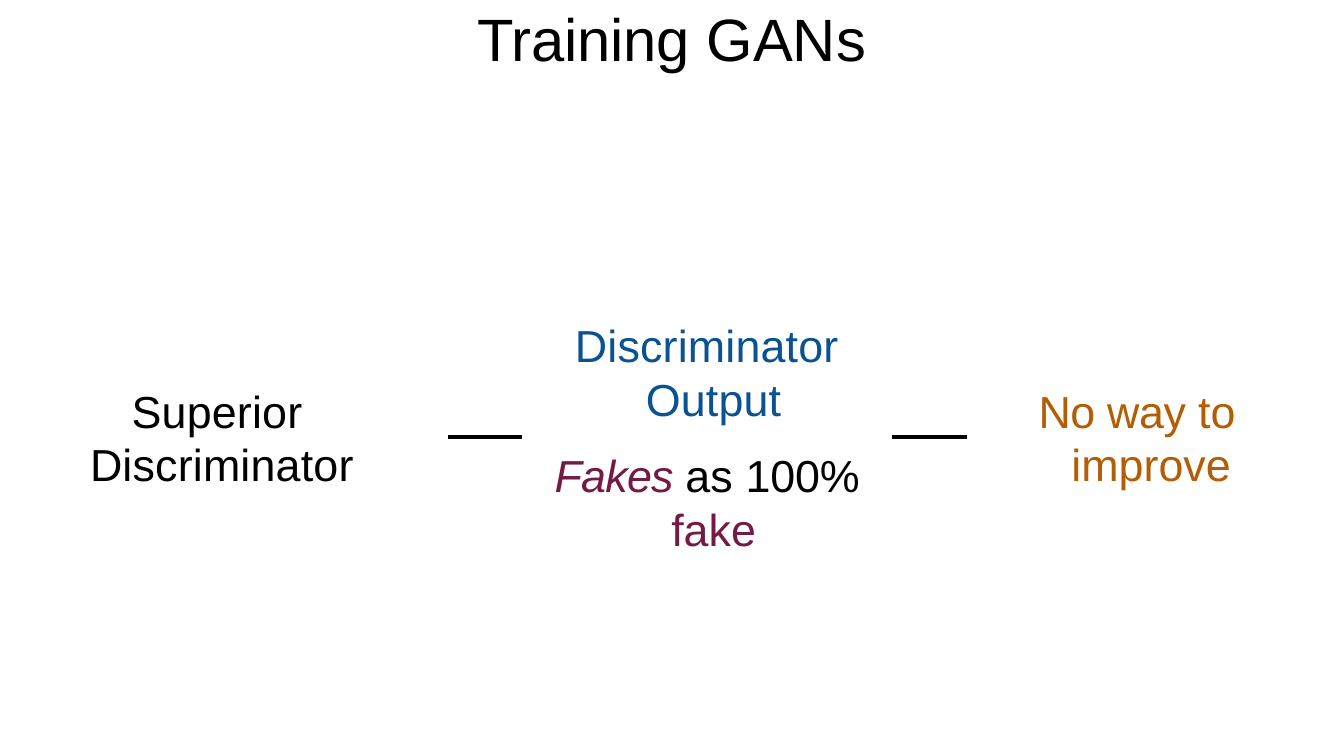
"""Build the slide on how a superior discriminator stalls the training of GANs."""
from dataclasses import dataclass

from lxml.etree import SubElement
from pptx import Presentation
from pptx.dml.color import RGBColor
from pptx.enum.shapes import MSO_CONNECTOR
from pptx.enum.text import MSO_ANCHOR, PP_ALIGN
from pptx.oxml.ns import qn
from pptx.util import Inches, Pt


@dataclass
class Theme:
    font: str = "Arial"
    black: str = "000000"
    blue: str = "0B5293"
    plum: str = "741A46"
    rust: str = "B35E05"
    head: int = 32
    body: int = 24
    line: float = 2.25


def write(para, text, color, size, space=0, italic=False):
    run = para.add_run()
    run.text = text
    font = run.font
    font.name, font.size, font.italic = theme.font, Pt(size), italic
    font.color.rgb = RGBColor.from_string(color)
    run._r.get_or_add_rPr().set("spc", str(space))


def place(left, mid, width, height):
    box = slide.shapes.add_textbox(
        int(left * col), int((mid - height / 2) * row), int(width * col), int(height * row))
    frame = box.text_frame
    frame.word_wrap = True
    frame.margin_left = frame.margin_right = frame.margin_bottom = 0
    frame.margin_top = Inches(0.01)
    return frame


theme = Theme()
deck = Presentation()
deck.slide_width, deck.slide_height = Inches(10), Inches(10) * 9 // 16
slide = deck.slides.add_slide(deck.slide_layouts[6])
col, row = deck.slide_width / 100, deck.slide_height / 100
mid = 57.85

title = place(0, 4.9, 100, 9.8)
title.vertical_anchor = MSO_ANCHOR.MIDDLE
para = title.paragraphs[0]
para.alignment, para.space_before = PP_ALIGN.CENTER, Pt(1)
write(para, "Training ", color=theme.black, size=theme.head, space=-10)
write(para, "GANs", color=theme.black, size=theme.head)

left, center = PP_ALIGN.LEFT, PP_ALIGN.CENTER
steps = [
    (6.6, 26.1, 14.6, [
        (left, 0.01, 0.31, 1, [("Superior Discriminator", theme.black, 10, False)]),
    ]),
    (39.3, 26.5, 32, [
        (center, 0.11, -0.1, 1, [("Discriminator Output", theme.blue, 10, False)]),
        (center, 0.11, -0.1, 12, [
            ("Fakes ", theme.plum, -40, True),
            ("as ", theme.black, 10, False),
            ("100% ", theme.black, -10, False),
            ("fake", theme.plum, 0, False),
        ]),
    ]),
    (72.4, 24.3, 14.6, [
        (center, 0.22, -0.21, 1, [
            ("No way ", theme.rust, -20, False),
            ("to improve", theme.rust, 0, False),
        ]),
    ]),
]
for start, width, height, paras in steps:
    frame = place(start, mid, width, height)
    for num, (align, margin, indent, gap, runs) in enumerate(paras):
        para = frame.add_paragraph() if num else frame.paragraphs[0]
        para.alignment, para.space_before = align, Pt(gap)
        props = para._p.get_or_add_pPr()
        props.set("marL", str(Inches(margin)))
        props.set("indent", str(Inches(indent)))
        for text, color, space, italic in runs:
            write(para, text, color=color, size=theme.body, space=space, italic=italic)

for start in (33.3, 66.4):
    link = slide.shapes.add_connector(
        MSO_CONNECTOR.STRAIGHT,
        int(start * col), int(mid * row), int((start + 5.55) * col), int(mid * row))
    link.line.width = Pt(theme.line)
    link.line.color.rgb = RGBColor.from_string(theme.black)
    SubElement(link._element.spPr, qn("a:effectLst"))

deck.save("out.pptx")
